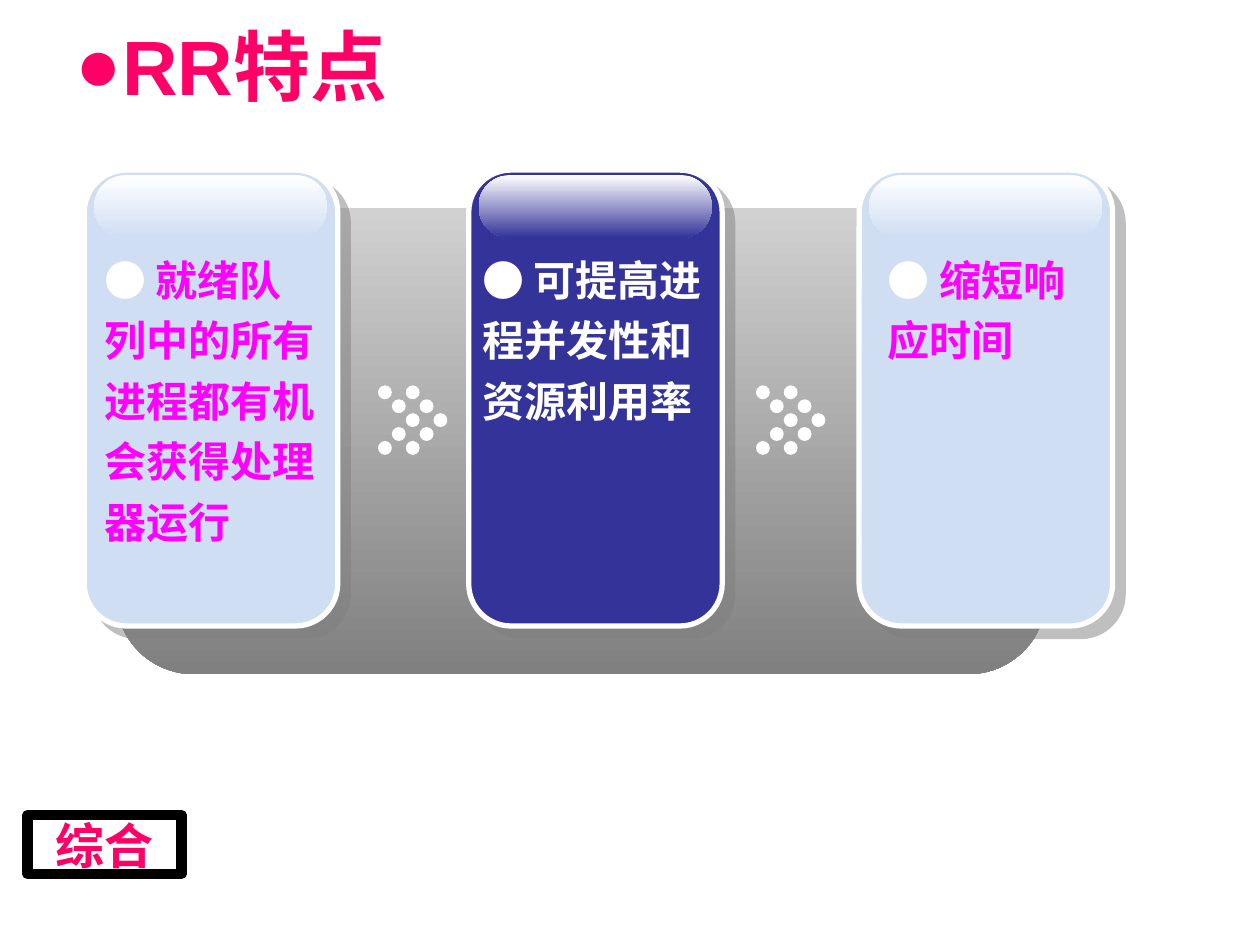
from dataclasses import dataclass

from lxml.etree import SubElement
from pptx import Presentation
from pptx.dml.color import RGBColor as Rgb
from pptx.enum.shapes import MSO_SHAPE as Preset
from pptx.enum.text import MSO_ANCHOR as Anchor
from pptx.enum.text import MSO_AUTO_SIZE as AutoSize
from pptx.enum.text import PP_ALIGN as Align
from pptx.oxml.ns import qn
from pptx.util import Cm, Pt


@dataclass(frozen=True)
class Theme:
    white: str = "FFFFFF"
    black: str = "000000"
    pink: str = "FF0066"
    magenta: str = "FF00FF"
    pale: str = "CFDEF3"
    navy: str = "333399"
    silver: str = "D1D1D1"
    gray: str = "808080"
    title_font: str = "Arial"
    body_font: str = "Noto Sans CJK SC"
    tag_font: str = "Montserrat"
    title_size: int = 44
    body_size: int = 24
    tag_size: int = 28


THEME = Theme()


@dataclass(frozen=True)
class Box:
    """A rectangle in centimetres."""
    left: float
    top: float
    width: float
    height: float

    def emu(self) -> tuple:
        return Cm(self.left), Cm(self.top), Cm(self.width), Cm(self.height)


@dataclass(frozen=True)
class Card:
    left: float
    color: str
    text: str
    text_color: str
    text_box: Box


CARD_TOP, CARD_WIDTH, CARD_HEIGHT = 3.43, 5.11, 9.19
DOT = 0.28
CARDS = (
    Card(1.7, THEME.pale, "就绪队列中的所有进程都有机会获得处理器运行",
         THEME.magenta, Box(1.85, 4.8, 4.8, 6.35)),
    Card(9.45, THEME.navy, "可提高进程并发性和资源利用率",
         THEME.white, Box(9.47, 4.8, 5.08, 5.13)),
    Card(17.32, THEME.pale, "缩短响应时间",
         THEME.magenta, Box(17.65, 4.8, 4.37, 2.69)),
)


def add_plain(shapes, preset, box: Box, color: str = None):
    """Add a shape without line or shadow, filled if a colour is given."""
    shape = shapes.add_shape(preset, *box.emu())
    shape.shadow.inherit = False
    shape.line.fill.background()
    if color:
        shape.fill.solid()
        shape.fill.fore_color.rgb = Rgb.from_string(color)
    else:
        shape.fill.background()
    return shape


def set_gradient(shape, top: str, bottom: str) -> None:
    shape.fill.gradient()
    shape.fill.gradient_angle = 270
    for stop, color in zip(shape.fill.gradient_stops, (top, bottom)):
        stop.color.rgb = Rgb.from_string(color)


def set_line(shape, color: str, width: float) -> None:
    shape.line.color.rgb = Rgb.from_string(color)
    shape.line.width = Pt(width)


def add_shadow(shape) -> None:
    effects = shape._element.spPr.find(qn("a:effectLst"))
    shadow = SubElement(effects, qn("a:outerShdw"), blurRad="0",
                        dist=str(Pt(8.5)), dir="2700000", algn="ctr", rotWithShape="0")
    color = SubElement(shadow, qn("a:srgbClr"), val=THEME.gray)
    SubElement(color, qn("a:alpha"), val="50000")


def format_run(run, font_name: str, size: int, color: str) -> None:
    run.font.name = font_name
    run.font.size = Pt(size)
    run.font.bold = True
    run.font.color.rgb = Rgb.from_string(color)
    SubElement(run._r.get_or_add_rPr(), qn("a:ea"), typeface=font_name)


def add_title(slide) -> None:
    title = slide.shapes.title
    title.left, title.top, title.width, title.height = Box(1.27, 0, 22.86, 2.62).emu()
    frame = title.text_frame
    frame.text = "RR特点"
    frame.vertical_anchor = Anchor.MIDDLE
    paragraph = frame.paragraphs[0]
    paragraph.alignment = Align.LEFT
    properties = paragraph._p.get_or_add_pPr()
    properties.set("marL", "0")
    properties.set("indent", "0")
    SubElement(properties, qn("a:buFont"), typeface=THEME.title_font)
    SubElement(properties, qn("a:buChar"), char="●")
    format_run(paragraph.runs[0], THEME.title_font, THEME.title_size, THEME.pink)


def add_card(slide, card: Card) -> None:
    shapes = slide.shapes.add_group_shape().shapes
    body = add_plain(shapes, Preset.ROUNDED_RECTANGLE,
                     Box(card.left, CARD_TOP, CARD_WIDTH, CARD_HEIGHT), card.color)
    set_line(body, THEME.white, 3)
    add_shadow(body)
    gloss = add_plain(shapes, Preset.ROUNDED_RECTANGLE,
                      Box(card.left + 0.2, CARD_TOP + 0.1, 4.7, 1.27))
    gloss.adjustments[0] = 0.5
    set_gradient(gloss, THEME.white, card.color)


def add_chevron(slide, left: float, top: float = 7.77) -> None:
    """Add two columns of dots, bent into an arrow pointing right."""
    shapes = slide.shapes.add_group_shape().shapes
    for column in (2, 0):
        for row in range(5):
            step = column + 2 - abs(row - 2)
            add_plain(shapes, Preset.OVAL,
                      Box(left + step * DOT, top + row * DOT, DOT, DOT), THEME.white)


def add_card_text(slide, card: Card) -> None:
    frame = slide.shapes.add_textbox(*card.text_box.emu()).text_frame
    frame.word_wrap = True
    frame.auto_size = AutoSize.SHAPE_TO_FIT_TEXT
    paragraph = frame.paragraphs[0]
    paragraph.line_spacing = 1.2
    for text, color in (("● ", THEME.white), (card.text, card.text_color)):
        run = paragraph.add_run()
        run.text = text
        format_run(run, THEME.body_font, THEME.body_size, color)


def add_tag(slide) -> None:
    tag = add_plain(slide.shapes, Preset.RECTANGLE, Box(0.56, 16.43, 3.1, 1.19))
    set_line(tag, THEME.black, 6)
    frame = tag.text_frame
    frame.margin_left = frame.margin_right = frame.margin_top = frame.margin_bottom = 0
    frame.word_wrap = True
    frame.auto_size = AutoSize.SHAPE_TO_FIT_TEXT
    frame.text = "综合"
    frame.paragraphs[0].alignment = Align.CENTER
    format_run(frame.paragraphs[0].runs[0], THEME.tag_font, THEME.tag_size, THEME.pink)


def main() -> None:
    presentation = Presentation()
    presentation.slide_width, presentation.slide_height = Cm(25.4), Cm(19.05)
    slide = presentation.slides.add_slide(presentation.slide_layouts[5])
    add_title(slide)

    # Gray panel behind the cards
    panel = add_plain(slide.shapes, Preset.ROUNDED_RECTANGLE, Box(2.34, 4.19, 18.75, 9.4))
    set_gradient(panel, THEME.silver, THEME.gray)

    # Cards, the dotted arrows between them, and their text
    for card in CARDS:
        add_card(slide, card)
    for left in (7.62, 15.24):
        add_chevron(slide, left)
    for card in CARDS:
        add_card_text(slide, card)

    # Framed label at the bottom
    add_tag(slide)
    presentation.save("out.pptx")


if __name__ == "__main__":
    main()
